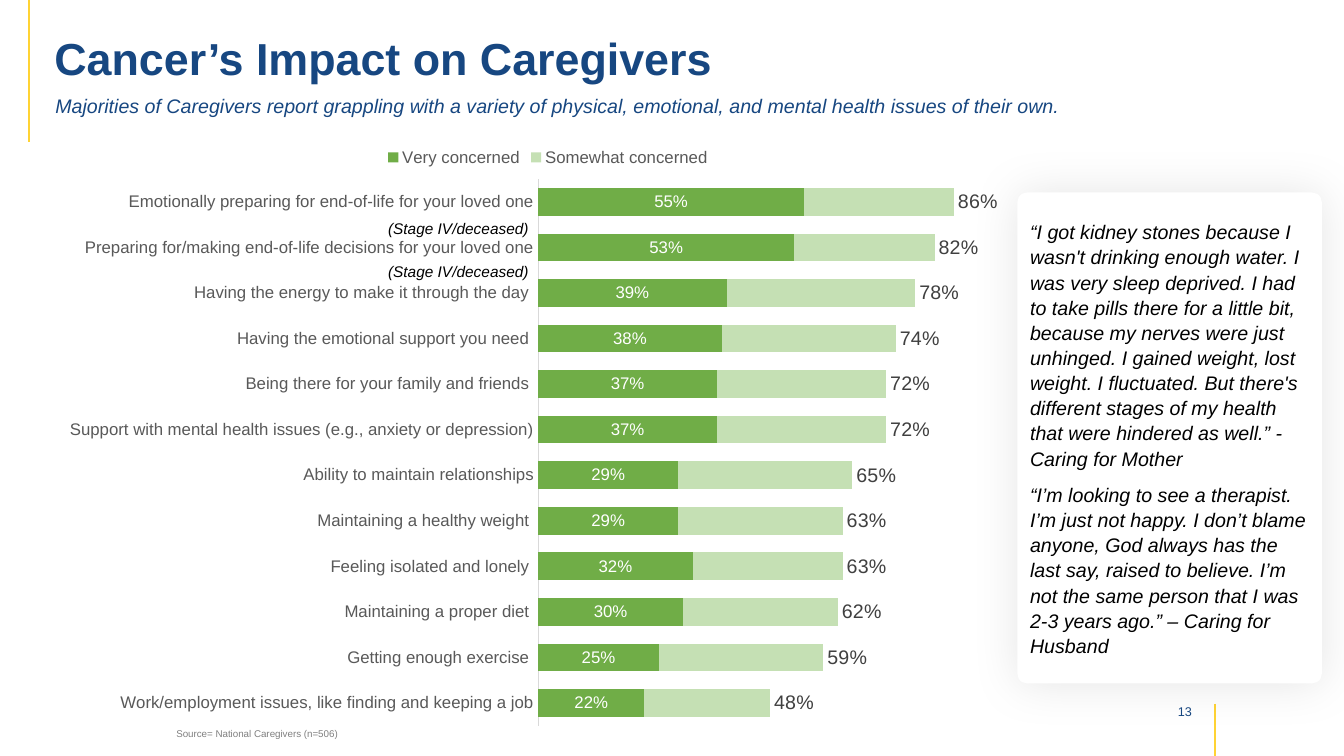
"""Build the slide on caregiver concerns."""
from dataclasses import dataclass, field

from lxml import etree
from pptx import Presentation
from pptx import util as u
from pptx.chart import data as cd
from pptx.dml import color as col
from pptx.enum import chart as ec, shapes as es, text as et
from pptx.oxml import ns

HUES = {"navy": "174781", "gold": "FFD334", "leaf": "70AD47", "pale": "C5E0B4",
        "black": "000000", "white": "FFFFFF", "gray": "808080", "slate": "595959",
        "dark": "404040", "rule": "D9D9D9"}


@dataclass
class Note:
    box: tuple
    lines: list
    size: float
    hue: str
    font: dict = field(default_factory=dict)
    para: dict = field(default_factory=dict)
    frame: dict = field(default_factory=dict)


@dataclass
class Rule:
    x: float
    top: float
    end: float


@dataclass
class Bars:
    name: str
    vals: list
    hue: str
    size: float
    ink: str
    spot: object


STAGE = ["(Stage IV/deceased)"]
MID = {"vertical_anchor": et.MSO_ANCHOR.MIDDLE}
QUOTE = Note((10.09, 1.91, 3.02, 4.87), [
    "“I got kidney stones because I wasn't drinking enough water. I was very sleep "
    "deprived. I had to take pills there for a little bit, because my nerves were just "
    "unhinged. I gained weight, lost weight. I fluctuated. But there's different stages "
    "of my health that were hindered as well.” - Caring for Mother",
    "“I’m looking to see a therapist. I’m just not happy. I don’t blame anyone, God "
    "always has the last say, raised to believe. I’m not the same person that I was "
    "2-3 years ago.” – Caring for Husband"],
    14, "black", {"italic": True},
    {"line_spacing": 1.07, "space_after": u.Pt(8), "alignment": et.PP_ALIGN.LEFT}, MID)
HEADS = [
    Note((0.44, 0.23, 12.39, 0.76), ["Cancer’s Impact on Caregivers"], 32, "navy",
         {"bold": True}, {"line_spacing": 0.9}, MID),
    Note((0.45, 0.88, 12.35, 0.5),
         ["Majorities of Caregivers report grappling with a variety of physical, "
          "emotional, and mental health issues of their own."],
         14, "navy", {"italic": True}),
    Note((11.33, 6.93, 0.59, 0.25), ["13"], 9, "navy",
         para={"alignment": et.PP_ALIGN.RIGHT}),
]
TAGS = [Note((1.65, 7.17, 6.25, 0.22), ["Source= National Caregivers (n=506)"], 7, "gray")]
TAGS += [Note((3.75, y, 1.89, 0.29), STAGE, 11, "black", {"italic": True})
         for y in (2.12, 2.55)]
RULES = [Rule(0.29, 0, 1.41), Rule(12.05, 6.98, 7.5)]
CATS = ["Work/employment issues, like finding and keeping a job",
        "Getting enough exercise ",
        "Maintaining a proper diet ",
        "Feeling isolated and lonely ",
        "Maintaining a healthy weight ",
        "Ability to maintain relationships",
        "Support with mental health issues (e.g., anxiety or depression)",
        "Being there for your family and friends ",
        "Having the emotional support you need ",
        "Having the energy to make it through the day ",
        "Preparing for/making end-of-life decisions for your loved one",
        "Emotionally preparing for end-of-life for your loved one"]
SPOTS = ec.XL_LABEL_POSITION
BARS = [
    Bars("Somewhat concerned",
         [0.48, 0.59, 0.62, 0.63, 0.63, 0.65, 0.72, 0.72, 0.74, 0.78, 0.82, 0.86],
         "pale", 14, "dark", SPOTS.OUTSIDE_END),
    Bars("Very concerned",
         [0.22, 0.25, 0.3, 0.32, 0.29, 0.29, 0.37, 0.37, 0.38, 0.39, 0.53, 0.55],
         "leaf", 12, "white", SPOTS.CENTER),
]


def rgb(hue: str) -> col.RGBColor:
    return col.RGBColor.from_string(HUES[hue])


def put(item, vals: dict) -> None:
    for key, val in vals.items():
        setattr(item, key, val)


def ink(font, size: float, hue: str, **more) -> None:
    put(font, {"name": "Arial", "size": u.Pt(size), **more})
    font.color.rgb = rgb(hue)


def fill(item, hue: str) -> None:
    item.fill.solid()
    item.fill.fore_color.rgb = rgb(hue)


def place(box: tuple) -> list:
    return [u.Inches(n) for n in box]


def node(top, tag: str, **attrs):
    return etree.SubElement(top, ns.qn(tag), attrs)


def write(shape, note: Note) -> None:
    frame = shape.text_frame
    put(frame, {"word_wrap": True, **note.frame})
    for i, line in enumerate(note.lines):
        para = frame.add_paragraph() if i else frame.paragraphs[0]
        put(para, note.para)
        run = para.add_run()
        run.text = line
        ink(run.font, note.size, note.hue, **note.font)


def label(slide, note: Note) -> None:
    write(slide.shapes.add_textbox(*place(note.box)), note)


def rule(slide, item: Rule) -> None:
    ends = place((item.x, item.top, item.x, item.end))
    line = slide.shapes.add_connector(es.MSO_CONNECTOR.STRAIGHT, *ends)
    line.line.color.rgb = rgb("gold")
    line.line.width = u.Pt(1.5)
    node(line._element.spPr, "a:effectLst")


def card(slide, note: Note) -> None:
    shape = slide.shapes.add_shape(es.MSO_SHAPE.ROUNDED_RECTANGLE, *place(note.box))
    shape.adjustments[0] = 0.032
    fill(shape, "white")
    shape.line.fill.background()
    shape.shadow.inherit = False
    glow = node(shape._element.spPr.find(ns.qn("a:effectLst")), "a:outerShdw",
                blurRad=str(u.Pt(34.9)), dist="0", dir="0", algn="ctr", rotWithShape="0")
    node(node(glow, "a:srgbClr", val=HUES["black"]), "a:alpha", val="10000")
    write(shape, note)


def fix(chart, area: dict) -> None:
    plot = chart._chartSpace.chart.plotArea
    for old in plot.findall(ns.qn("c:layout")):
        plot.remove(old)
    lay = etree.Element(ns.qn("c:layout"))
    plot.insert(0, lay)
    man = node(lay, "c:manualLayout")
    for tag, val in {"layoutTarget": "inner", "xMode": "edge", "yMode": "edge", **area}.items():
        node(man, f"c:{tag}", val=str(val))


def graph(slide) -> None:
    data = cd.CategoryChartData(number_format="0%")
    data.categories = CATS
    for bar in BARS:
        data.add_series(bar.name, bar.vals)
    chart = slide.shapes.add_chart(ec.XL_CHART_TYPE.BAR_CLUSTERED,
                                   *place((0.54, 1.36, 9.79, 5.96)), data).chart
    ink(chart.font, 10, "black")
    put(chart, {"has_title": False, "has_legend": True})
    put(chart.legend, {"position": ec.XL_LEGEND_POSITION.TOP, "include_in_layout": False})
    ink(chart.legend.font, 12, "slate")
    cat, val = chart.category_axis, chart.value_axis
    none = ec.XL_TICK_MARK.NONE
    put(cat, {"major_tick_mark": none, "minor_tick_mark": none, "has_major_gridlines": False})
    ink(cat.tick_labels.font, 12, "slate")
    cat.format.line.color.rgb = rgb("rule")
    cat.format.line.width = u.Pt(0.75)
    put(val, {"visible": False, "has_major_gridlines": False,
              "minimum_scale": 0, "maximum_scale": 1})
    plot = chart.plots[0]
    put(plot, {"gap_width": 65, "overlap": 100, "vary_by_categories": False})
    for bar, item in zip(BARS, plot.series):
        fill(item.format, bar.hue)
        tags = item.data_labels
        put(tags, {"show_value": True, "position": bar.spot, "number_format": "0%",
                   "number_format_is_linked": False})
        ink(tags.font, bar.size, bar.ink)
    fix(chart, {"x": 0.49, "y": 0.07, "w": 0.49, "h": 0.91})


def main() -> None:
    deck = Presentation()
    put(deck, {"slide_width": u.Inches(13.33), "slide_height": u.Inches(7.5)})
    slide = deck.slides.add_slide(deck.slide_layouts[6])
    for item in RULES:
        rule(slide, item)
    for note in HEADS:
        label(slide, note)
    graph(slide)
    for note in TAGS:
        label(slide, note)
    card(slide, QUOTE)
    deck.save("out.pptx")


if __name__ == "__main__":
    main()
